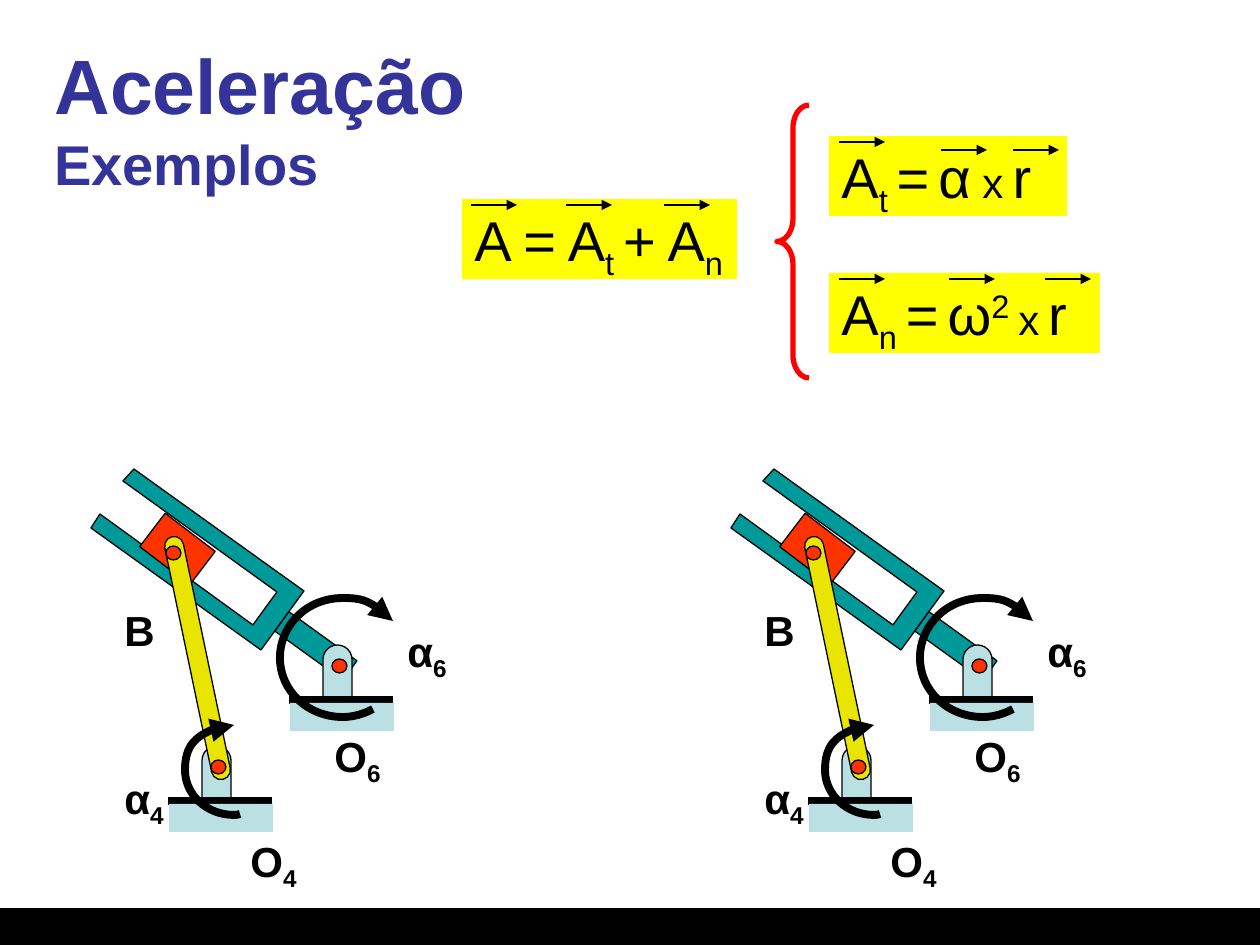
"""Builds the acceleration examples slide with formulas and two linkages."""
from lxml.etree import SubElement
from pptx import Presentation
from pptx.dml.color import RGBColor
from pptx.enum.shapes import MSO_CONNECTOR, MSO_SHAPE as Preset
from pptx.enum.text import MSO_ANCHOR, MSO_AUTO_SIZE, PP_ALIGN
from pptx.oxml.ns import qn
from pptx.util import Emu, Pt

PX = 914400 / 126
BLACK = RGBColor(0x00, 0x00, 0x00)
RED = RGBColor(0xFF, 0x00, 0x00)
ORANGE = RGBColor(0xFF, 0x33, 0x00)
TEAL = RGBColor(0x00, 0x99, 0x99)
PALE_BLUE = RGBColor(0xBB, 0xE0, 0xE3)
LINK_YELLOW = RGBColor(0xE9, 0xE4, 0x00)
YELLOW = RGBColor(0xFF, 0xFF, 0x00)
TITLE_BLUE = RGBColor(0x33, 0x33, 0x99)
THIN, THICK = 0.75, 4.5
SUB, SUPER = -25, 30
VECTOR_LENGTH = 46
MECHANISM_PITCH = 640
CHANNEL = [(100, 514), (253, 625), (277, 592), (123, 481),
           (134, 469), (304, 591), (261, 650), (91, 528)]
TURN_6 = [(393, 621), (382, 607), (363, 598), (343, 598), (307, 598), (280, 625), (280, 658),
          (280, 690), (307, 717), (343, 717), (353, 717), (364, 714), (373, 709)]
TURN_4 = [(234, 725), (207, 725), (185, 745), (185, 770), (185, 795),
          (207, 815), (234, 815), (236, 815), (238, 815), (240, 814)]


def px(length):
    """Turn slide pixels into EMU."""
    return Emu(round(length * PX))


def paint(shape, fill=None, outline=None, width=THIN):
    """Set fill, outline and no shadow."""
    shape.shadow.inherit = False
    if fill is None:
        shape.fill.background()
    else:
        shape.fill.solid()
        shape.fill.fore_color.rgb = fill
    if outline is None:
        shape.line.fill.background()
    else:
        shape.line.color.rgb = outline
        shape.line.width = Pt(width)


def add_part(slide, preset, box, fill=None, outline=BLACK, width=THIN, turn=0, adjust=None):
    """Add a preset shape in a pixel box."""
    part = slide.shapes.add_shape(preset, *map(px, box))
    paint(part, fill, outline, width)
    part.rotation = turn
    if adjust is not None:
        part.adjustments[0] = adjust
    return part


def add_arrowhead(shape, end):
    """Put a triangle on the headEnd or tailEnd of a line."""
    SubElement(shape.line._get_or_add_ln(), qn(f"a:{end}"), type="triangle")


def add_line(slide, left, right, y, width=THIN):
    """Add a horizontal black line."""
    line = slide.shapes.add_connector(
        MSO_CONNECTOR.STRAIGHT, px(left), px(y), px(right), px(y))
    line.line.color.rgb = BLACK
    line.line.width = Pt(width)
    SubElement(line._element.spPr, qn("a:effectLst"))
    return line


def add_outline(slide, points, dx, closed):
    """Add a freeform through pixel points moved right by dx."""
    (x, y), *others = [(x + dx, y) for x, y in points]
    builder = slide.shapes.build_freeform(x, y, scale=PX)
    builder.add_line_segments(others, close=closed)
    return builder.convert_to_shape()


def add_turn_arrow(slide, points, dx):
    """Add a sweep of cubic curves with its arrowhead at the start."""
    sweep = add_outline(slide, points, dx, False)
    outline = next(sweep._element.iter(qn("a:path")))
    steps = outline.findall(qn("a:lnTo"))
    for first in range(0, len(steps), 3):
        curve = SubElement(outline, qn("a:cubicBezTo"))
        for step in steps[first:first + 3]:
            curve.append(step[0])
            outline.remove(step)
    paint(sweep, outline=BLACK, width=THICK)
    add_arrowhead(sweep, "headEnd")


def style_run(run, size, color=BLACK, bold=False, baseline=0):
    """Format one run."""
    run.font.name = "Arial"
    run.font.size = Pt(size)
    run.font.bold = bold
    run.font.color.rgb = color
    if baseline:
        run._r.get_or_add_rPr().set("baseline", str(baseline * 1000))


def write_pieces(shape, pieces, bold=False):
    """Fill a shape with (text, size, baseline) pieces on one line."""
    frame = shape.text_frame
    frame.word_wrap = False
    frame.auto_size = MSO_AUTO_SIZE.SHAPE_TO_FIT_TEXT
    frame.vertical_anchor = MSO_ANCHOR.TOP
    paragraph = frame.paragraphs[0]
    paragraph.alignment = PP_ALIGN.LEFT
    for text, size, baseline in pieces:
        run = paragraph.add_run()
        run.text = text
        style_run(run, size, bold=bold, baseline=baseline)


def add_label(slide, box, letter, index=""):
    """Add a bold letter with an optional subscript."""
    label = slide.shapes.add_textbox(*map(px, box))
    pieces = [(letter, 24, 0)] + ([(index, 24, SUB)] if index else [])
    write_pieces(label, pieces, bold=True)


def add_formula(slide, box, pieces, vectors):
    """Add a yellow formula with vector arrows above its letters."""
    write_pieces(add_part(slide, Preset.RECTANGLE, box, YELLOW, None), pieces)
    for x, y in vectors:
        add_arrowhead(add_line(slide, x, x + VECTOR_LENGTH, y), "tailEnd")


def add_support(slide, x, y):
    """Add a rounded post standing on the ground."""
    add_part(slide, Preset.ROUNDED_RECTANGLE, (x, y, 29, 82), PALE_BLUE, adjust=0.5)
    add_line(slide, x - 34, x + 70, y + 55, THICK)
    add_part(slide, Preset.RECTANGLE, (x - 33, y + 58, 104, 28), PALE_BLUE, None)


def add_pin(slide, x, y):
    """Add a pivot pin."""
    add_part(slide, Preset.OVAL, (x, y, 15, 14), ORANGE)


def add_mechanism(slide, dx):
    """Add one slotted linkage with its labels, moved right by dx."""
    paint(add_outline(slide, CHANNEL, dx, True), TEAL, BLACK)
    add_part(slide, Preset.RECTANGLE, (304 + dx, 604, 24, 84), TEAL, turn=305.8)
    add_part(slide, Preset.RECTANGLE, (146 + dx, 528, 63, 42), ORANGE, turn=37.3)
    add_support(slide, 202 + dx, 746)
    add_part(slide, Preset.ROUNDED_RECTANGLE, (188 + dx, 534, 19, 248),
             LINK_YELLOW, turn=348.2, adjust=0.5)
    add_pin(slide, 166 + dx, 546)
    add_pin(slide, 211 + dx, 760)
    add_support(slide, 323 + dx, 645)
    add_pin(slide, 332 + dx, 659)
    add_turn_arrow(slide, TURN_6, dx)
    add_label(slide, (395 + dx, 619, 67, 63), "α", "6")
    add_label(slide, (238 + dx, 829, 73, 63), "O", "4")
    add_label(slide, (112 + dx, 598, 55, 63), "B")
    add_label(slide, (322 + dx, 724, 73, 63), "O", "6")
    add_turn_arrow(slide, TURN_4, dx)
    add_label(slide, (112 + dx, 766, 67, 63), "α", "4")


def add_title(slide):
    """Add the title with its smaller second line."""
    frame = slide.shapes.add_textbox(*map(px, (42, 38, 1176, 158))).text_frame
    frame.word_wrap = True
    frame.vertical_anchor = MSO_ANCHOR.MIDDLE
    heading = frame.paragraphs[0]
    heading.text = "Aceleração\vExemplos"
    for run, size in zip(heading.runs, (44, 32)):
        style_run(run, size, TITLE_BLUE, bold=True)


def main():
    """Build and save the slide."""
    deck = Presentation()
    deck.slide_width, deck.slide_height = px(1260), px(945)
    slide = deck.slides.add_slide(deck.slide_layouts[6])
    add_part(slide, Preset.RECTANGLE, (0, 909, 1260, 36), BLACK)
    add_mechanism(slide, 0)
    add_title(slide)
    gap, low_gap = (" ", 24, 0), (" ", 32, SUB)
    vector_a, equals = ("A", 32, 0), ("=", 32, 0)
    cross_r = [("x", 24, 0), low_gap, ("r", 32, 0)]
    add_formula(slide, (829, 273, 271, 80),
                [vector_a, ("n ", 32, SUB), equals, low_gap, ("ω", 32, 0),
                 ("2 ", 32, SUPER)] + cross_r,
                [(839, 279), (949, 279), (1045, 279)])
    add_formula(slide, (829, 136, 238, 80),
                [vector_a, ("t ", 32, SUB), equals, low_gap, ("α", 32, 0), gap] + cross_r,
                [(839, 142), (941, 150), (1013, 150)])
    add_formula(slide, (462, 199, 275, 80),
                [vector_a, gap, equals, gap, vector_a, ("t ", 32, SUB),
                 ("+", 32, 0), gap, vector_a, ("n", 32, SUB)],
                [(471, 205), (566, 205), (664, 205)])
    add_part(slide, Preset.LEFT_BRACE, (777, 105, 32, 273),
             outline=RED, width=3, adjust=0.72)
    add_mechanism(slide, MECHANISM_PITCH)
    deck.save("out.pptx")


if __name__ == "__main__":
    main()
